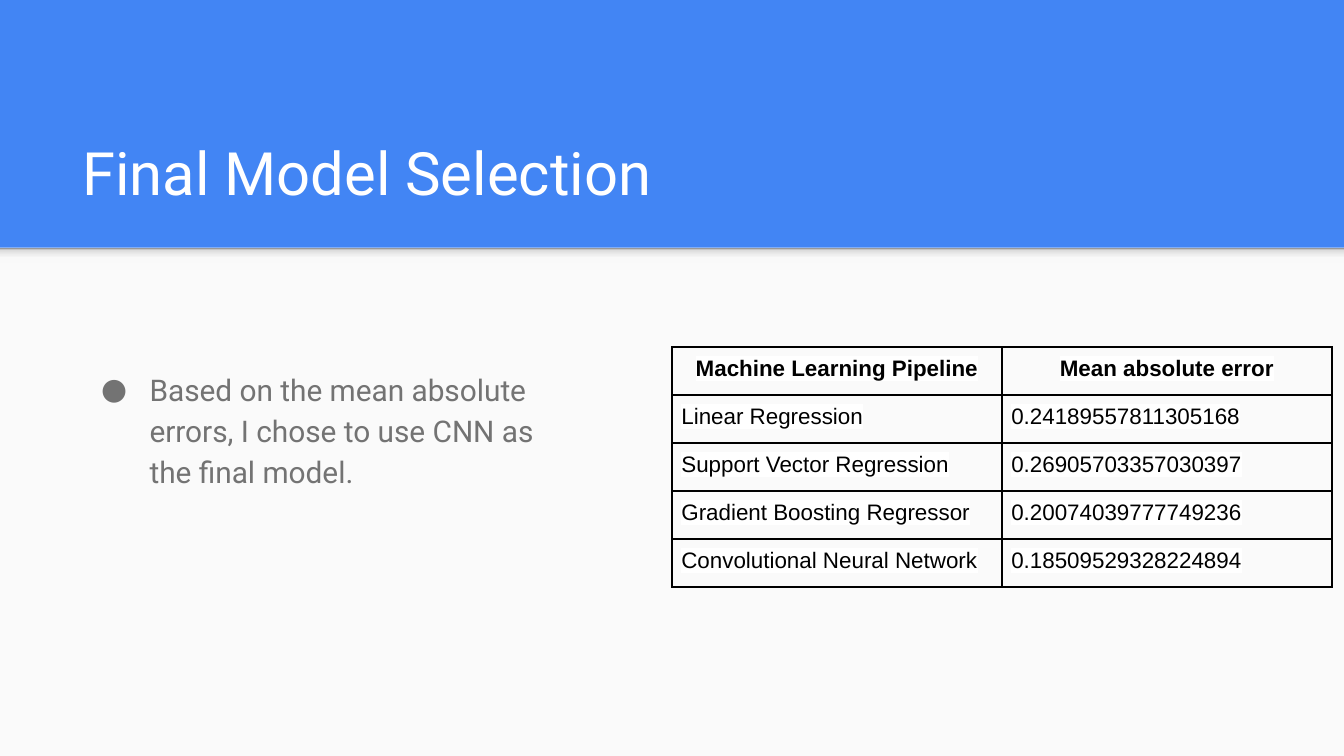
from dataclasses import dataclass

from lxml import etree
from pptx import Presentation, util as u
from pptx.dml.color import RGBColor
from pptx.enum import shapes, text
from pptx.oxml import parse_xml
from pptx.oxml.ns import nsdecls, qn

WIDE = 10
HIGH = WIDE * 9 / 16
COL, ROW = WIDE / 100, HIGH / 100
LEFT, MID = text.PP_ALIGN.LEFT, text.PP_ALIGN.CENTER


@dataclass(frozen=True)
class Theme:
    """Colours, fonts and type sizes of the slide."""
    blue: str = "4285F4"
    pale: str = "FAFAFA"
    white: str = "FFFFFF"
    gray: str = "737373"
    black: str = "000000"
    shade: tuple = ((0, "F9F9F9"), (36, "F9F9F9"), (80, "DEDEDE"), (100, "999999"))
    sans: str = "Roboto"
    grid: str = "Arial"
    head: int = 32
    body: int = 16
    cell: int = 12


T = Theme()
SCORES = [
    ("Machine Learning Pipeline", "Mean absolute error"),
    ("Linear Regression", "0.24189557811305168"),
    ("Support Vector Regression", "0.26905703357030397"),
    ("Gradient Boosting Regressor", "0.20074039777749236"),
    ("Convolutional Neural Network", "0.18509529328224894"),
]


def area(x, y, w, h):
    """Turn grid columns and rows into slide lengths."""
    return [u.Inches(n * s) for n, s in zip((x, y, w, h), (COL, ROW, COL, ROW))]


def xml(tag, inner="", **attrs):
    """Make a drawing element with the given content."""
    listed = " ".join(f'{k}="{v}"' for k, v in attrs.items())
    return parse_xml(f"<a:{tag} {nsdecls('a')} {listed}>{inner}</a:{tag}>")


def paint(hue):
    """Give the markup of a plain colour."""
    return f'<a:srgbClr val="{hue}"/>'


def write(frame, words, size, hue, font=T.sans, bold=False, align=LEFT, mark=None):
    """Put one formatted run of text in a frame."""
    para = frame.paragraphs[0]
    para.alignment = align
    run = para.add_run()
    run.text = words
    run.font.size = u.Pt(size)
    run.font.bold = bold
    run.font.color.rgb = RGBColor.from_string(hue)
    if mark:
        run.font._element.find(qn("a:solidFill")).addnext(xml("highlight", paint(mark)))
    run.font.name = font
    return para


def label(slide, spot, words, size, hue, anchor=text.MSO_ANCHOR.TOP):
    """Add a wrapped text box and return its paragraph."""
    frame = slide.shapes.add_textbox(*area(*spot)).text_frame
    frame.word_wrap = True
    frame.vertical_anchor = anchor
    frame.margin_left = frame.margin_right = u.Inches(0.1)
    frame.margin_top = frame.margin_bottom = u.Inches(0.1)
    return write(frame, words, size, hue)


def dot(para, hue):
    """Give a paragraph a hanging round bullet."""
    props = para._p.get_or_add_pPr()
    props.set("marL", str(u.Inches(0.5)))
    props.set("indent", str(u.Inches(-0.36)))
    props.append(xml("buClr", paint(hue)))
    props.append(xml("buFont", typeface=T.sans))
    props.append(xml("buChar", char="●"))


def block(slide, spot, hue):
    """Add a plain rectangle without outline."""
    shape = slide.shapes.add_shape(shapes.MSO_SHAPE.RECTANGLE, *area(*spot))
    shape.shadow.inherit = False
    shape.fill.solid()
    shape.fill.fore_color.rgb = RGBColor.from_string(hue)
    shape.line.fill.background()
    return shape


def fade(shape, stops):
    """Replace a solid fill by an upward gradient."""
    inner = "".join(f'<a:gs pos="{p * 1000}">{paint(c)}</a:gs>' for p, c in stops)
    grad = xml("gradFill", f'<a:gsLst>{inner}</a:gsLst><a:lin ang="16200000" scaled="0"/>')
    props = shape._element.spPr
    props.replace(props.find(qn("a:solidFill")), grad)


def edge(cell, hue):
    """Draw a one-point border round a cell."""
    props = cell._tc.get_or_add_tcPr()
    for spot, side in enumerate(("lnL", "lnR", "lnT", "lnB")):
        fill = f"<a:solidFill>{paint(hue)}</a:solidFill>"
        props.insert(spot, xml(side, fill, w=u.Pt(1)))


def table(slide, spot, rows):
    """Add a bordered table with a bold centred first row."""
    grid = slide.shapes.add_table(len(rows), len(rows[0]), *area(*spot)).table
    etree.strip_elements(grid._tbl.tblPr, qn("a:tableStyleId"))
    grid.first_row = grid.horz_banding = False
    for r, row in enumerate(rows):
        for c, words in enumerate(row):
            cell = grid.cell(r, c)
            cell.margin_left = cell.margin_right = u.Inches(0.07)
            cell.margin_top = cell.margin_bottom = u.Inches(0.07)
            cell.fill.background()
            edge(cell, T.black)
            write(cell.text_frame, words, T.cell, T.black, font=T.grid,
                  bold=r == 0, align=LEFT if r else MID, mark=T.white)


def main():
    """Build the slide and save it."""
    deck = Presentation()
    deck.slide_width, deck.slide_height = u.Inches(WIDE), u.Inches(HIGH)
    slide = deck.slides.add_slide(deck.slide_layouts[6])
    slide.background.fill.solid()
    slide.background.fill.fore_color.rgb = RGBColor.from_string(T.blue)

    top = 32.75
    block(slide, (0, top, 100, 100 - top), T.pale)
    fade(block(slide, (0, top, 100, 2.1), T.pale), T.shade)
    label(slide, (5.15, 14.4, 89.9, 14.85), "Final Model Selection",
          T.head, T.white, anchor=text.MSO_ANCHOR.BOTTOM)
    note = label(slide, (5.15, 46.65, 37.6, 23.5),
                 "Based on the mean absolute errors, I chose to use CNN as the final model.",
                 T.body, T.gray)
    note.line_spacing = 1.15
    dot(note, T.gray)
    table(slide, (50, 45.9, 49.1, 6.35 * len(SCORES)), SCORES)
    deck.save("out.pptx")


if __name__ == "__main__":
    main()
